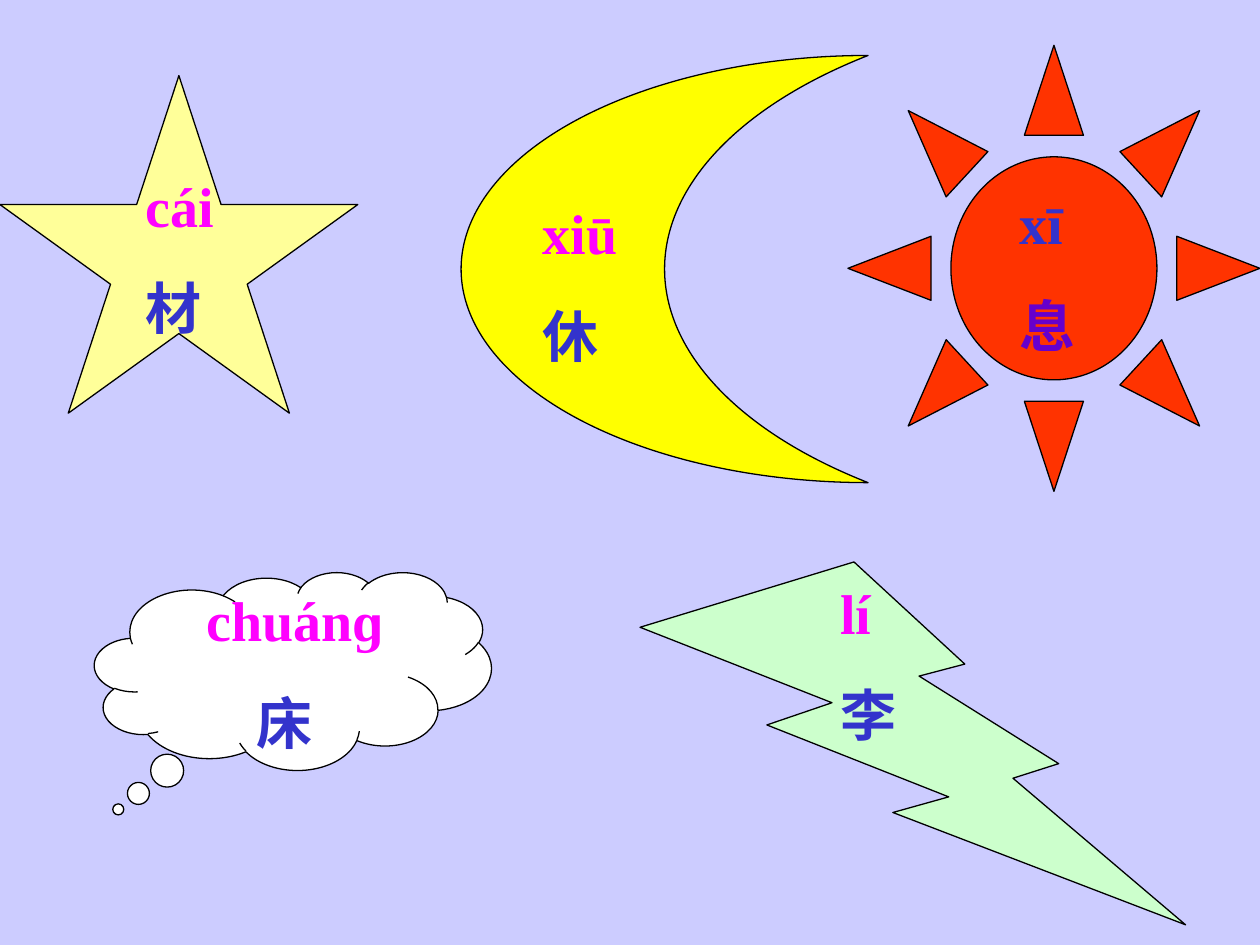
from dataclasses import dataclass

from pptx import Presentation
from pptx.dml.color import RGBColor as RGB
from pptx.enum.shapes import MSO_SHAPE as Kind
from pptx.enum.text import MSO_AUTO_SIZE as Fit
from pptx.util import Inches, Pt


@dataclass(frozen=True)
class Theme:
    font: str = "Times New Roman"
    size: int = 32
    gap: int = 20
    edge: float = 0.75
    back: str = "CCCCFF"
    ink: str = "000000"
    pink: str = "FF00FF"
    blue: str = "3333CC"
    plum: str = "6600CC"
    cream: str = "FFFF99"
    gold: str = "FFFF00"
    red: str = "FF3300"
    white: str = "FFFFFF"
    mint: str = "CCFFCC"


class Deck:
    """Places elements on a grid of 100 columns by 75 rows."""

    def __init__(self, theme):
        self.theme = theme
        self.file = Presentation()
        self.file.slide_width, self.file.slide_height = Inches(10), Inches(7.5)
        self.col = self.file.slide_width / 100
        self.row = self.file.slide_height / 75
        self.slide = self.file.slides.add_slide(self.file.slide_layouts[6])
        fill = self.slide.background.fill
        fill.solid()
        fill.fore_color.rgb = RGB.from_string(theme.back)

    def area(self, x, y, wide, high):
        return [int(n * unit) for n, unit in zip(
            (x, y, wide, high), (self.col, self.row) * 2)]

    def shape(self, kind, area, color, *adjust):
        item = self.slide.shapes.add_shape(kind, *self.area(*area))
        item.shadow.inherit = False
        item.fill.solid()
        item.fill.fore_color.rgb = RGB.from_string(color)
        item.line.color.rgb = RGB.from_string(self.theme.ink)
        item.line.width = Pt(self.theme.edge)
        for i, value in enumerate(adjust):
            item.adjustments[i] = value

    def word(self, area, sound, sign, colors, indent=0):
        frame = self.slide.shapes.add_textbox(*self.area(*area)).text_frame
        frame.word_wrap = True
        frame.auto_size = Fit.SHAPE_TO_FIT_TEXT
        frame.text = f"{sound}\n{sign}"
        for para, color in zip(frame.paragraphs, colors):
            font = para.runs[0].font
            font.name, font.size, font.bold = self.theme.font, Pt(self.theme.size), True
            font.color.rgb = RGB.from_string(color)
        last = frame.paragraphs[1]
        last.space_before = Pt(self.theme.gap)
        if indent:
            last._p.get_or_add_pPr().set("marL", str(int(indent * self.col)))


def main():
    theme = Theme()
    deck = Deck(theme)

    # Sky shapes
    deck.shape(Kind.STAR_5_POINT, (0, 6, 28.4, 26.8), theme.cream)
    deck.shape(Kind.MOON, (36.6, 4.4, 32.3, 33.9), theme.gold, 0.5)
    deck.shape(Kind.SUN, (67.3, 3.6, 32.7, 35.4), theme.red, 0.25)
    deck.shape(Kind.CLOUD_CALLOUT, (7.5, 45.4, 31.5, 15.7), theme.white, -0.44, 0.7)
    deck.shape(Kind.LIGHTNING_BOLT, (50.8, 44.6, 43.3, 28.8), theme.mint)

    # Pinyin above its character
    usual = theme.pink, theme.blue
    deck.word((10.6, 13.1, 11, 14.5), "cái", "材", usual)
    deck.word((42.1, 15.3, 11.8, 14.5), "xiū", "休", usual)
    deck.word((79.9, 14.5, 11.8, 14.5), "xī", "息", (theme.blue, theme.plum))
    deck.word((15.4, 46, 23.6, 14.5), "chuánɡ", "床", usual, indent=4)
    deck.word((65.7, 45.4, 15, 14.5), "lí", "李", usual)

    deck.file.save("out.pptx")


if __name__ == "__main__":
    main()
